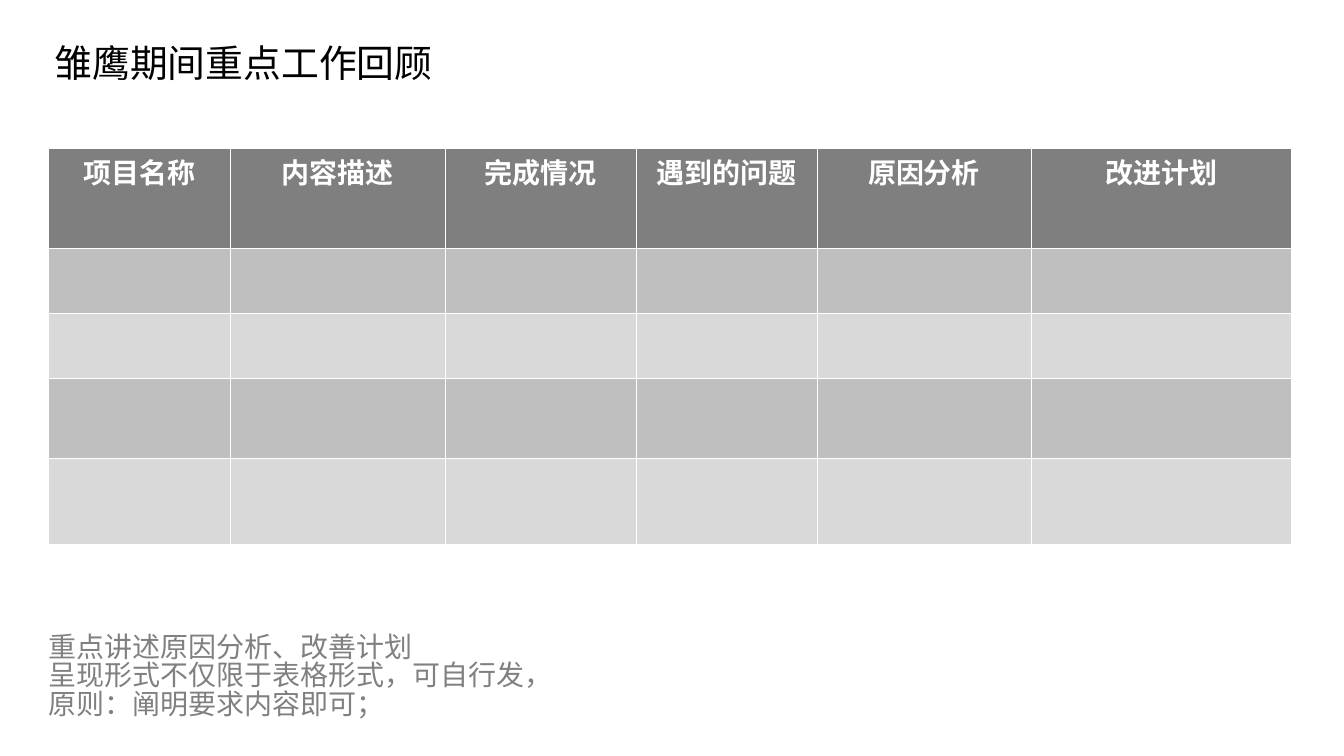
from dataclasses import dataclass

from lxml import etree
from pptx import Presentation
from pptx import util as u
from pptx.dml.color import RGBColor
from pptx.enum import text
from pptx.oxml import ns


@dataclass(frozen=True)
class Theme:
    font: str = "Noto Sans CJK SC"
    title_size: int = 54
    body_size: int = 40
    title_color: str = "000000"
    note_color: str = "808080"
    white: str = "FFFFFF"
    header_fill: str = "7F7F7F"
    band_fills: tuple = ("BFBFBF", "D9D9D9")
    thin_line: float = 0.96
    thick_line: float = 3


THEME = Theme()

TITLE = "雏鹰期间重点工作回顾"
HEADERS = ["项目名称", "内容描述", "完成情况", "遇到的问题", "原因分析", "改进计划"]
NOTES = ["重点讲述原因分析、改善计划",
         "呈现形式不仅限于表格形式，可自行发，原则：阐明要求内容即可；"]

# Column widths and row heights in centimetres
COLUMN_WIDTHS = [9.19, 10.8, 9.65, 9.09, 10.8, 13.11]
ROW_HEIGHTS = [5.03, 3.28, 3.28, 4.04, 4.29]

# Boxes in centimetres: left, top, width, height
TITLE_BOX = (1.5, 1.98, 21.54, 2.29)
TABLE_BOX = (2.44, 7.49, sum(COLUMN_WIDTHS), sum(ROW_HEIGHTS))
NOTE_BOX = (2.21, 31.88, 26.19, 5.33)


def set_values(target, values):
    for name, value in values.items():
        setattr(target, name, value)


def write_paragraph(paragraph, words, size, color, bold=False, **layout):
    run = paragraph.add_run()
    run.text = words
    set_values(run.font, {"name": THEME.font, "size": u.Pt(size), "bold": bold})
    run.font.color.rgb = RGBColor.from_string(color)
    east_asian = etree.SubElement(run.font._element, ns.qn("a:ea"))
    east_asian.set("typeface", THEME.font)
    set_values(paragraph, layout)


def place_placeholder(shape, box, anchor):
    for name, value in zip(("left", "top", "width", "height"), box):
        setattr(shape, name, u.Cm(value))
    set_values(shape.text_frame, {
        "word_wrap": True, "auto_size": text.MSO_AUTO_SIZE.NONE,
        "vertical_anchor": anchor,
        "margin_left": u.Cm(0.25), "margin_right": u.Cm(0.25),
        "margin_top": u.Cm(0.13), "margin_bottom": u.Cm(0.13)})
    return shape.text_frame


def set_borders(cell, widths):
    properties = cell._tc.get_or_add_tcPr()
    for position, (side, width) in enumerate(widths.items()):
        line = etree.Element(ns.qn(f"a:ln{side}"), w=str(u.Pt(width)))
        fill = etree.SubElement(line, ns.qn("a:solidFill"))
        etree.SubElement(fill, ns.qn("a:srgbClr"), val=THEME.white)
        properties.insert(position, line)


def build_title(slide, box):
    frame = place_placeholder(slide.shapes.title, box, text.MSO_ANCHOR.MIDDLE)
    write_paragraph(frame.paragraphs[0], TITLE, THEME.title_size,
                    THEME.title_color, alignment=text.PP_ALIGN.CENTER)


def build_notes(slide, box):
    frame = place_placeholder(slide.placeholders[1], box, text.MSO_ANCHOR.TOP)
    for index, words in enumerate(NOTES):
        paragraph = frame.add_paragraph() if index else frame.paragraphs[0]
        write_paragraph(paragraph, words, THEME.body_size, THEME.note_color,
                        alignment=text.PP_ALIGN.LEFT, line_spacing=0.84,
                        space_before=u.Pt(0))
        # No bullet and no hanging indent
        properties = paragraph._p.get_or_add_pPr()
        properties.set("marL", "0")
        properties.set("indent", "0")
        etree.SubElement(properties, ns.qn("a:buNone"))


def build_table(slide, box):
    table = slide.shapes.add_table(len(ROW_HEIGHTS), len(COLUMN_WIDTHS),
                                   *map(u.Cm, box)).table
    for column, width in zip(table.columns, COLUMN_WIDTHS):
        column.width = u.Cm(width)
    for index, (row, height) in enumerate(zip(table.rows, ROW_HEIGHTS)):
        row.height = u.Cm(height)
        color = THEME.band_fills[(index - 1) % 2] if index else THEME.header_fill
        borders = dict.fromkeys("LRTB", THEME.thin_line)
        if index < 2:  # heavy rule between header and body
            borders["T" if index else "B"] = THEME.thick_line
        for cell in row.cells:
            cell.fill.solid()
            cell.fill.fore_color.rgb = RGBColor.from_string(color)
            set_borders(cell, borders)
    # Header labels
    for cell, words in zip(table.rows[0].cells, HEADERS):
        write_paragraph(cell.text_frame.paragraphs[0], words, THEME.body_size,
                        THEME.white, bold=True, alignment=text.PP_ALIGN.CENTER)


def main():
    presentation = Presentation()
    set_values(presentation, {"slide_width": u.Cm(67.74),
                              "slide_height": u.Cm(38.1)})
    slide = presentation.slides.add_slide(presentation.slide_layouts[1])
    build_title(slide, TITLE_BOX)
    build_notes(slide, NOTE_BOX)
    build_table(slide, TABLE_BOX)
    presentation.save("out.pptx")


if __name__ == "__main__":
    main()
